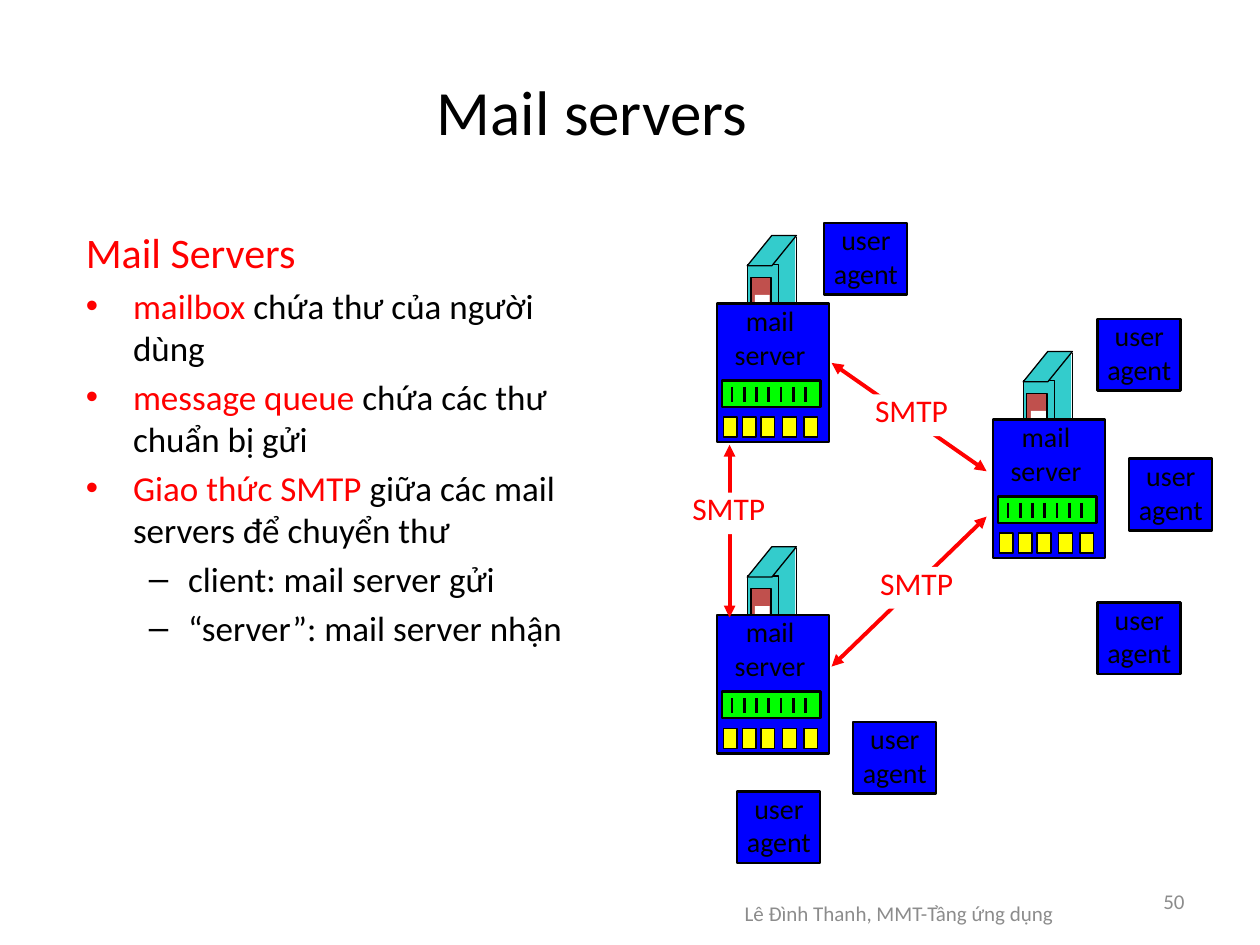
"""Build the slide on mail servers and the SMTP links between them."""
from lxml import etree
from pptx import Presentation
from pptx.dml.color import RGBColor
from pptx.enum.shapes import MSO_CONNECTOR, MSO_SHAPE
from pptx.enum.text import MSO_ANCHOR, MSO_AUTO_SIZE, PP_ALIGN
from pptx.oxml.ns import qn
from pptx.util import Pt

RECTANGLE, PARALLELOGRAM = MSO_SHAPE.RECTANGLE, MSO_SHAPE.PARALLELOGRAM
STRAIGHT = MSO_CONNECTOR.STRAIGHT
CENTER, RIGHT = PP_ALIGN.CENTER, PP_ALIGN.RIGHT
TOP, MIDDLE = MSO_ANCHOR.TOP, MSO_ANCHOR.MIDDLE
NO_AUTOFIT = MSO_AUTO_SIZE.NONE

BLACK = RGBColor(0x00, 0x00, 0x00)
WHITE = RGBColor(0xFF, 0xFF, 0xFF)
GRAY = RGBColor(0x8C, 0x8C, 0x8C)
RED = RGBColor(0xFF, 0x00, 0x00)
BLUE = RGBColor(0x00, 0x00, 0xFF)
GREEN = RGBColor(0x00, 0xFF, 0x00)
YELLOW = RGBColor(0xFF, 0xFF, 0x00)
TEAL = RGBColor(0x33, 0xCC, 0xCC)
BRICK = RGBColor(0xC0, 0x50, 0x4D)
FONT = "Calibri"

TITLE = "Mail servers"
HEADING = "Mail Servers"
POINTS = [
    (0, [("mailbox", RED), (" chứa thư của người dùng", BLACK)]),
    (0, [("message queue", RED), (" chứa các thư chuẩn bị gửi", BLACK)]),
    (0, [("Giao thức SMTP ", RED), ("giữa các mail servers để chuyển thư", BLACK)]),
    (1, [("client: mail server gửi", BLACK)]),
    (1, [("“server”: mail server nhận", BLACK)]),
]
FOOTER = "Lê Đình Thanh, MMT-Tầng ứng dụng"
SLIDE_NUMBER = "50"

SERVERS = [(567.4, 239.8), (409.7, 351.4), (409.7, 173.5)]
AGENTS = [(627.1, 182.2), (645.1, 262.1), (627.1, 344.2),
          (487.4, 412.6), (421.2, 452.2), (470.9, 127.4)]
LINKS = [(475.2, 207.4, 563.8, 269.3), (475.2, 380.9, 563.8, 295.2),
         (416.9, 352.8, 416.9, 254.2)]
LINK_LABELS = [(489.6, 324), (486.7, 225.4), (382.3, 281.5)]
MAILBOX_LEFTS = [3.6, 14.4, 25.2, 37.4, 49.7]
TICK_COUNT, TICK_STEP = 7, 7


def add_run(paragraph, text, size, color):
    run = paragraph.add_run()
    run.text = text
    run.font.name = FONT
    run.font.size = Pt(size)
    run.font.color.rgb = color


def place(shape, left, top, width, height):
    shape.left, shape.top = Pt(left), Pt(top)
    shape.width, shape.height = Pt(width), Pt(height)


def add_box(shapes, left, top, width, height, fill, line=None, kind=RECTANGLE):
    shape = shapes.add_shape(kind, Pt(left), Pt(top), Pt(width), Pt(height))
    shape.shadow.inherit = False
    shape.fill.solid()
    shape.fill.fore_color.rgb = fill
    if line:
        shape.line.color.rgb = BLACK
        shape.line.width = Pt(line)
    else:
        shape.line.fill.background()
    return shape


def add_line(shapes, x1, y1, x2, y2, color, width, arrows=False):
    connector = shapes.add_connector(STRAIGHT, Pt(x1), Pt(y1), Pt(x2), Pt(y2))
    connector.line.color.rgb = color
    connector.line.width = Pt(width)
    if arrows:
        outline = connector.line._get_or_add_ln()
        for end in ("a:headEnd", "a:tailEnd"):
            etree.SubElement(outline, qn(end), type="triangle")
    etree.SubElement(connector._element.spPr, qn("a:effectLst"))


def add_text(shapes, left, top, width, height, lines, size, color,
             alignment=CENTER, anchor=TOP, wrap=False):
    box = shapes.add_textbox(Pt(left), Pt(top), Pt(width), Pt(height))
    frame = box.text_frame
    frame.word_wrap = wrap
    frame.vertical_anchor = anchor
    for index, line in enumerate(lines):
        paragraph = frame.add_paragraph() if index else frame.paragraphs[0]
        paragraph.alignment = alignment
        add_run(paragraph, line, size, color)


def add_server(slide, left, top):
    shapes = slide.shapes.add_group_shape().shapes
    add_box(shapes, left + 31.7, top - 38.9, 13, 56.2, TEAL)
    add_box(shapes, left + 17.3, top - 22.3, 18, 56.2, TEAL, 0.75)
    roof = add_box(shapes, left + 17.3, top - 38.9, 28.1, 17.3, TEAL, 0.75, PARALLELOGRAM)
    roof.adjustments[0] = 0.81
    add_line(shapes, left + 45.4, top - 38.2, left + 45.4, top + 17.3, BLACK, 0.75)
    add_box(shapes, left + 19.4, top - 15.1, 11.5, 32.4, BRICK, 0.75)
    add_box(shapes, left + 21.6, top - 5, 8.6, 11.5, WHITE)
    add_box(shapes, left, top, 64.1, 79.2, BLUE, 1.5)
    add_text(shapes, left - 1.4, top - 3.5, 63.4, 46, ["mail", "server"], 16, BLACK)
    add_box(shapes, left + 2.9, top + 43.9, 56.2, 15.1, GREEN, 1.5)
    for index in range(TICK_COUNT):
        x = left + 8.6 + index * TICK_STEP
        add_line(shapes, x, top + 47.5, x, top + 56.2, BLACK, 1.5)
    for offset in MAILBOX_LEFTS:
        add_box(shapes, left + offset, top + 64.8, 7.9, 11.5, YELLOW, 0.75)


def add_agent(slide, left, top):
    shapes = slide.shapes.add_group_shape().shapes
    add_box(shapes, left, top, 47.5, 41, BLUE, 1.5)
    add_text(shapes, left - 4.2, top - 3.6, 56.2, 46, ["user", "agent"], 16, BLACK)


def add_link_label(slide, left, top):
    shapes = slide.shapes.add_group_shape().shapes
    add_box(shapes, left, top, 67.7, 23.8, WHITE)
    add_text(shapes, left - 6.5, top - 5.5, 81.4, 36, ["SMTP"], 18, RED)


def fill_placeholders(slide):
    title = slide.shapes.title
    place(title, 32.4, 18, 612, 90)
    title.text_frame.vertical_anchor = MIDDLE
    paragraph = title.text_frame.paragraphs[0]
    paragraph.alignment = CENTER
    add_run(paragraph, TITLE, 36, BLACK)

    body = slide.placeholders[1]
    place(body, 41.8, 126, 309.6, 365.8)
    frame = body.text_frame
    frame.auto_size = NO_AUTOFIT
    heading = frame.paragraphs[0]
    heading.space_before = Pt(0)
    etree.SubElement(heading._p.get_or_add_pPr(), qn("a:buNone"))
    add_run(heading, HEADING, 24, RED)
    for level, runs in POINTS:
        paragraph = frame.add_paragraph()
        paragraph.level = level
        for text, color in runs:
            add_run(paragraph, text, 20, color)


def main():
    presentation = Presentation()
    presentation.slide_width, presentation.slide_height = Pt(720), Pt(540)
    slide = presentation.slides.add_slide(presentation.slide_layouts[1])
    fill_placeholders(slide)
    add_text(slide.shapes, 373.7, 504, 280, 36, [FOOTER], 12, GRAY,
             anchor=MIDDLE, wrap=True)
    add_text(slide.shapes, 516.2, 500.4, 167.8, 28.8, [SLIDE_NUMBER], 12, GRAY,
             RIGHT, MIDDLE, True)
    for left, top in SERVERS:
        add_server(slide, left, top)
    for left, top in AGENTS:
        add_agent(slide, left, top)
    for link in LINKS:
        add_line(slide.shapes, *link, RED, 2.25, arrows=True)
    for left, top in LINK_LABELS:
        add_link_label(slide, left, top)
    presentation.save("out.pptx")


if __name__ == "__main__":
    main()
